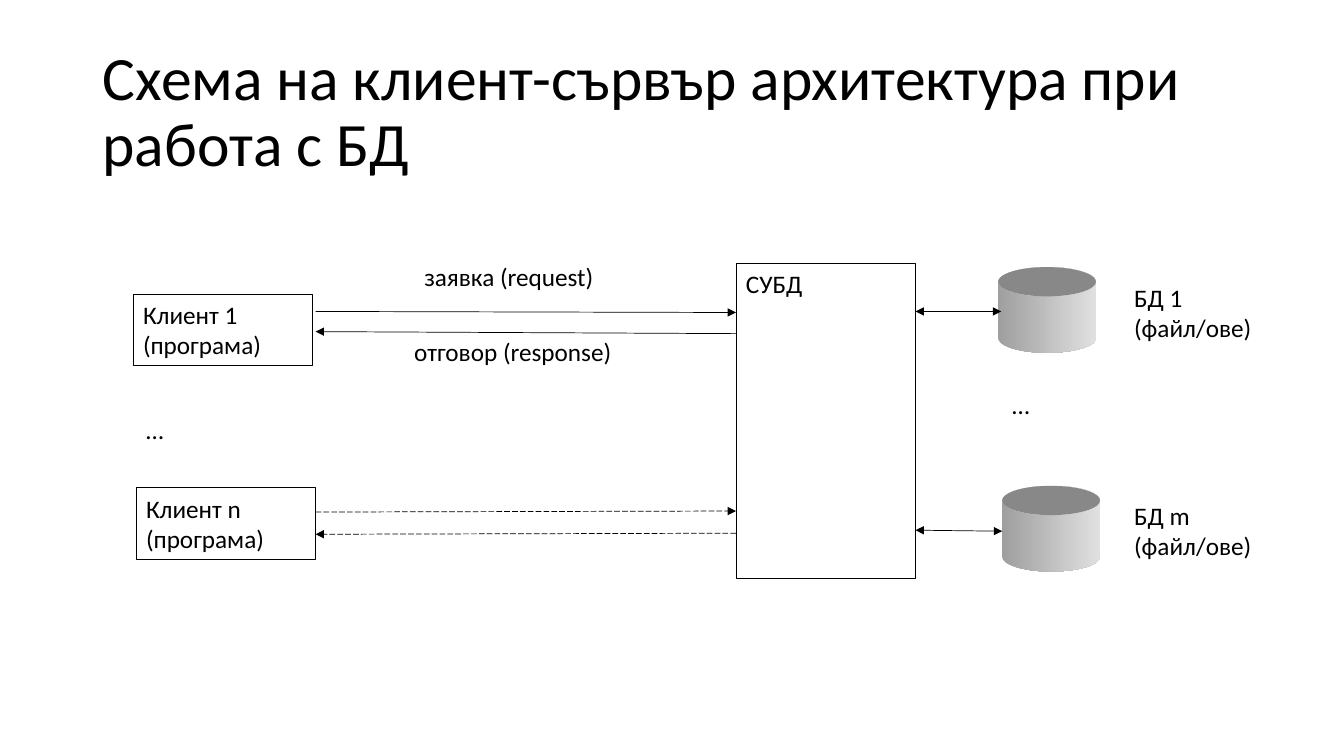
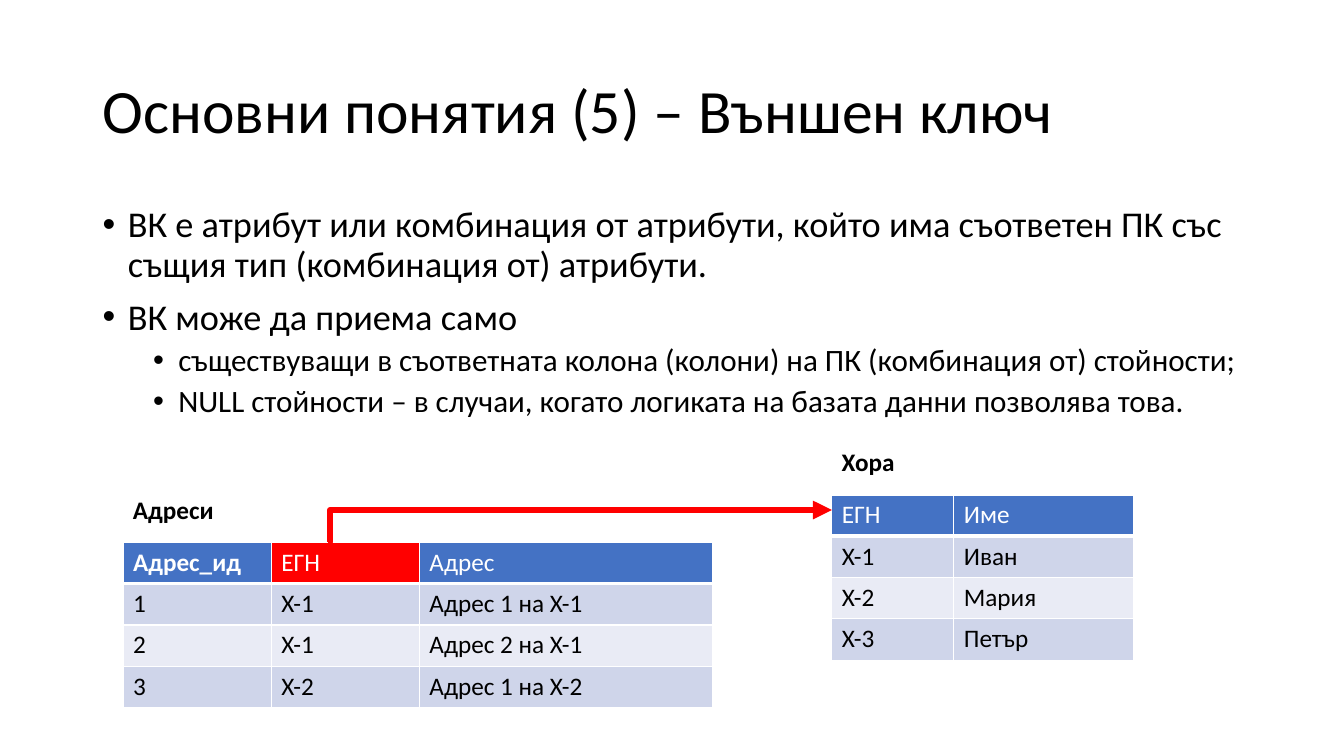
from dataclasses import dataclass

from lxml import etree
from pptx import Presentation
from pptx.dml.color import RGBColor
from pptx.enum.dml import MSO_LINE
from pptx.enum.shapes import MSO_CONNECTOR, MSO_SHAPE
from pptx.enum.text import MSO_ANCHOR, PP_ALIGN
from pptx.oxml.ns import qn
from pptx.util import Emu, Pt

EMU_PER_PX = 9144  # 100 px to the inch
SLIDE_W, SLIDE_H = 1333, 750
FONT = "Calibri"
BLACK, WHITE, RED = "000000", "FFFFFF", "FF0000"
HEADER_BLUE, BANDS = "4472C4", ("CFD5EA", "E9EBF5")
DISK_LID, DISK_DARK, DISK_LIGHT = "888888", "9F9F9F", "E0E0E0"
TITLE_PT, LABEL_PT = 44, 18
ROW_H = 41
DISK_W, DISK_H, LID_H = 97, 85, 29

RECTANGLE, CAN, OVAL = MSO_SHAPE.RECTANGLE, MSO_SHAPE.CAN, MSO_SHAPE.OVAL
STRAIGHT, ELBOW = MSO_CONNECTOR.STRAIGHT, MSO_CONNECTOR.ELBOW
LONG_DASH = MSO_LINE.LONG_DASH
LEFT = PP_ALIGN.LEFT
TOP, MIDDLE = MSO_ANCHOR.TOP, MSO_ANCHOR.MIDDLE


@dataclass(frozen=True)
class Label:
    text: str
    x: int
    y: int
    w: int
    h: int = 40
    border: str | None = None
    bold: bool = False


@dataclass(frozen=True)
class Arrow:
    x1: int
    y1: int
    x2: int
    y2: int
    dashed: bool = False
    two_way: bool = False
    color: str = BLACK
    width: float = 0.5


@dataclass(frozen=True)
class Bullet:
    text: str
    level: int
    size: float
    indent: int
    gap: int


@dataclass(frozen=True)
class DataTable:
    x: int
    y: int
    columns: tuple[int, ...]
    rows: tuple[tuple[str, ...], ...]
    bold_headers: tuple[str, ...] = ()
    foreign_keys: tuple[str, ...] = ()


CLIENT_SERVER_LABELS = (
    Label("БД 1 (файл/ове)", 1115, 275, 141, 71),
    Label("БД m (файл/ове)", 1115, 491, 141, 71),
    Label("Клиент 1 (програма)", 132, 292, 178, 71, BLACK),
    Label("Клиент n (програма)", 135, 484, 178, 71, BLACK),
    Label("СУБД", 730, 261, 178, 313, BLACK),
    Label("…", 135, 406, 178),
    Label("…", 994, 381, 90, 40, WHITE),
    Label("заявка (request)", 411, 254, 220),
    Label("отговор (response)", 401, 329, 220),
)
CLIENT_SERVER_ARROWS = (
    Arrow(313, 309, 730, 310),
    Arrow(730, 331, 313, 329),
    Arrow(313, 508, 730, 507, dashed=True),
    Arrow(730, 529, 313, 530, dashed=True),
    Arrow(908, 309, 993, 309, two_way=True),
    Arrow(908, 526, 994, 527, two_way=True),
)
DATABASE_CORNERS = ((990, 265), (994, 482))

FOREIGN_KEY_BULLETS = (
    Bullet("ВК е атрибут или комбинация от атрибути, който има съответен ПК "
           "със същия тип (комбинация от) атрибути.", 0, 25.9, 25, 0),
    Bullet("ВК може да приема само", 0, 25.9, 25, 10),
    Bullet("съществуващи в съответната колона (колони) на ПК "
           "(комбинация от) стойности;", 1, 22.2, 75, 5),
    Bullet("NULL стойности – в случаи, когато логиката на базата данни "
           "позволява това.", 1, 22.2, 75, 5),
)
TABLE_CAPTIONS = (
    Label("Хора", 825, 438, 155, bold=True),
    Label("Адреси", 122, 485, 155, bold=True),
)
PEOPLE = DataTable(825, 491, (121, 178), (
    ("ЕГН", "Име"), ("X-1", "Иван"), ("X-2", "Мария"), ("X-3", "Петър")))
ADDRESSES = DataTable(122, 538, (147, 147, 291), (
    ("Адрес_ид", "ЕГН", "Адрес"),
    ("1", "X-1", "Адрес 1 на X-1"),
    ("2", "X-1", "Адрес 2 на X-1"),
    ("3", "X-2", "Адрес 1 на X-2"),
), bold_headers=("Адрес_ид",), foreign_keys=("ЕГН",))
KEY_REFERENCE = Arrow(325, 538, 825, 506, color=RED, width=4.5)


def px(count: int) -> Emu:
    return Emu(count * EMU_PER_PX)


def rgb(value: str) -> RGBColor:
    return RGBColor.from_string(value)


def add_run(paragraph, text: str, size: float, color: str = BLACK,
            bold: bool = False) -> None:
    run = paragraph.add_run()
    run.text = text
    run.font.name = FONT
    run.font.size = Pt(size)
    run.font.bold = bold
    run.font.color.rgb = rgb(color)


def add_frame(slide, x: int, y: int, w: int, h: int, anchor=TOP):
    """Add a wrapping text box and return its text frame."""
    frame = slide.shapes.add_textbox(px(x), px(y), px(w), px(h)).text_frame
    frame.word_wrap = True
    frame.vertical_anchor = anchor
    return frame


def add_preset(slide, preset, x: int, y: int, w: int, h: int):
    """Add a preset shape with no shadow, fill or line."""
    shape = slide.shapes.add_shape(preset, px(x), px(y), px(w), px(h))
    shape.shadow.inherit = False
    shape.fill.background()
    shape.line.fill.background()
    return shape


def add_title(slide, text: str) -> None:
    paragraph = add_frame(slide, 92, 40, 1150, 145, MIDDLE).paragraphs[0]
    paragraph.line_spacing = 0.9
    add_run(paragraph, text, TITLE_PT)


def add_label(slide, label: Label) -> None:
    area = (label.x, label.y, label.w, label.h)
    if label.border:
        box = add_preset(slide, RECTANGLE, *area)
        box.line.color.rgb = rgb(label.border)
        box.line.width = Pt(0.75)
        frame = box.text_frame
        frame.word_wrap = True
        frame.vertical_anchor = TOP
    else:
        frame = add_frame(slide, *area)
    frame.paragraphs[0].alignment = LEFT
    add_run(frame.paragraphs[0], label.text, LABEL_PT, bold=label.bold)


def add_arrow(slide, arrow: Arrow, route=STRAIGHT):
    connector = slide.shapes.add_connector(
        route, px(arrow.x1), px(arrow.y1), px(arrow.x2), px(arrow.y2))
    connector.line.color.rgb = rgb(arrow.color)
    connector.line.width = Pt(arrow.width)
    if arrow.dashed:
        connector.line.dash_style = LONG_DASH
    properties = connector._element.spPr
    outline = properties.find(qn("a:ln"))
    for end in ("a:headEnd", "a:tailEnd") if arrow.two_way else ("a:tailEnd",):
        etree.SubElement(outline, qn(end), type="triangle")
    etree.SubElement(properties, qn("a:effectLst"))
    return connector


def add_key_reference(slide, arrow: Arrow) -> None:
    """Add an elbow arrow that turns right next to its start."""
    connector = add_arrow(slide, arrow, ELBOW)
    geometry = connector._element.spPr.find(qn("a:prstGeom"))
    adjustments = geometry.find(qn("a:avLst"))
    if adjustments is None:
        adjustments = etree.SubElement(geometry, qn("a:avLst"))
    etree.SubElement(adjustments, qn("a:gd"), name="adj1", fmla="val 500")


def add_database(slide, x: int, y: int) -> None:
    """Add a shaded cylinder with a darker lid."""
    body = add_preset(slide, CAN, x, y, DISK_W, DISK_H)
    body.adjustments[0] = LID_H / DISK_H
    body.fill.gradient()
    body.fill.gradient_angle = 0
    for stop, color in zip(body.fill.gradient_stops, (DISK_DARK, DISK_LIGHT)):
        stop.color.rgb = rgb(color)
    lid = add_preset(slide, OVAL, x, y, DISK_W, LID_H)
    lid.fill.solid()
    lid.fill.fore_color.rgb = rgb(DISK_LID)


def add_bullets(slide, bullets: tuple[Bullet, ...]) -> None:
    frame = add_frame(slide, 92, 200, 1150, 238)
    for index, bullet in enumerate(bullets):
        paragraph = frame.add_paragraph() if index else frame.paragraphs[0]
        properties = paragraph._p.get_or_add_pPr()
        properties.set("marL", str(px(bullet.indent)))
        properties.set("indent", str(px(-25)))
        etree.SubElement(properties, qn("a:buFont"), typeface="Arial")
        etree.SubElement(properties, qn("a:buChar"), char="•")
        paragraph.level = bullet.level
        paragraph.line_spacing = 0.9
        paragraph.space_before = Pt(bullet.gap)
        add_run(paragraph, bullet.text, bullet.size)


def add_cell_borders(cell, bottom: int) -> None:
    properties = cell._tc.get_or_add_tcPr()
    for side, points in (("L", 1), ("R", 1), ("T", 1), ("B", bottom)):
        border = etree.SubElement(properties, qn(f"a:ln{side}"), w=str(Pt(points)))
        fill = etree.SubElement(border, qn("a:solidFill"))
        etree.SubElement(fill, qn("a:srgbClr"), val=WHITE)


def add_data_table(slide, data: DataTable) -> None:
    table = slide.shapes.add_table(
        len(data.rows), len(data.columns), px(data.x), px(data.y),
        px(sum(data.columns)), px(ROW_H * len(data.rows))).table
    for column, width in zip(table.columns, data.columns):
        column.width = px(width)
    for row, texts in enumerate(data.rows):
        table.rows[row].height = px(ROW_H)
        header = row == 0
        for column, text in enumerate(texts):
            cell = table.cell(row, column)
            add_cell_borders(cell, 3 if header else 1)
            if header:
                fill = RED if text in data.foreign_keys else HEADER_BLUE
            else:
                fill = BANDS[(row - 1) % 2]
            cell.fill.solid()
            cell.fill.fore_color.rgb = rgb(fill)
            add_run(cell.text_frame.paragraphs[0], text, LABEL_PT,
                    WHITE if header else BLACK,
                    header and text in data.bold_headers)


def build_client_server(slide) -> None:
    add_title(slide, "Схема на клиент-сървър архитектура при работа с БД")
    for label in CLIENT_SERVER_LABELS:
        add_label(slide, label)
    for x, y in DATABASE_CORNERS:
        add_database(slide, x, y)
    for arrow in CLIENT_SERVER_ARROWS:
        add_arrow(slide, arrow)


def build_foreign_key(slide) -> None:
    add_title(slide, "Основни понятия (5) – Външен ключ")
    add_bullets(slide, FOREIGN_KEY_BULLETS)
    for data in (PEOPLE, ADDRESSES):
        add_data_table(slide, data)
    for caption in TABLE_CAPTIONS:
        add_label(slide, caption)
    add_key_reference(slide, KEY_REFERENCE)


def main() -> None:
    presentation = Presentation()
    presentation.slide_width, presentation.slide_height = px(SLIDE_W), px(SLIDE_H)
    blank = presentation.slide_layouts[6]
    for build in (build_client_server, build_foreign_key):
        build(presentation.slides.add_slide(blank))
    presentation.save("out.pptx")


if __name__ == "__main__":
    main()
